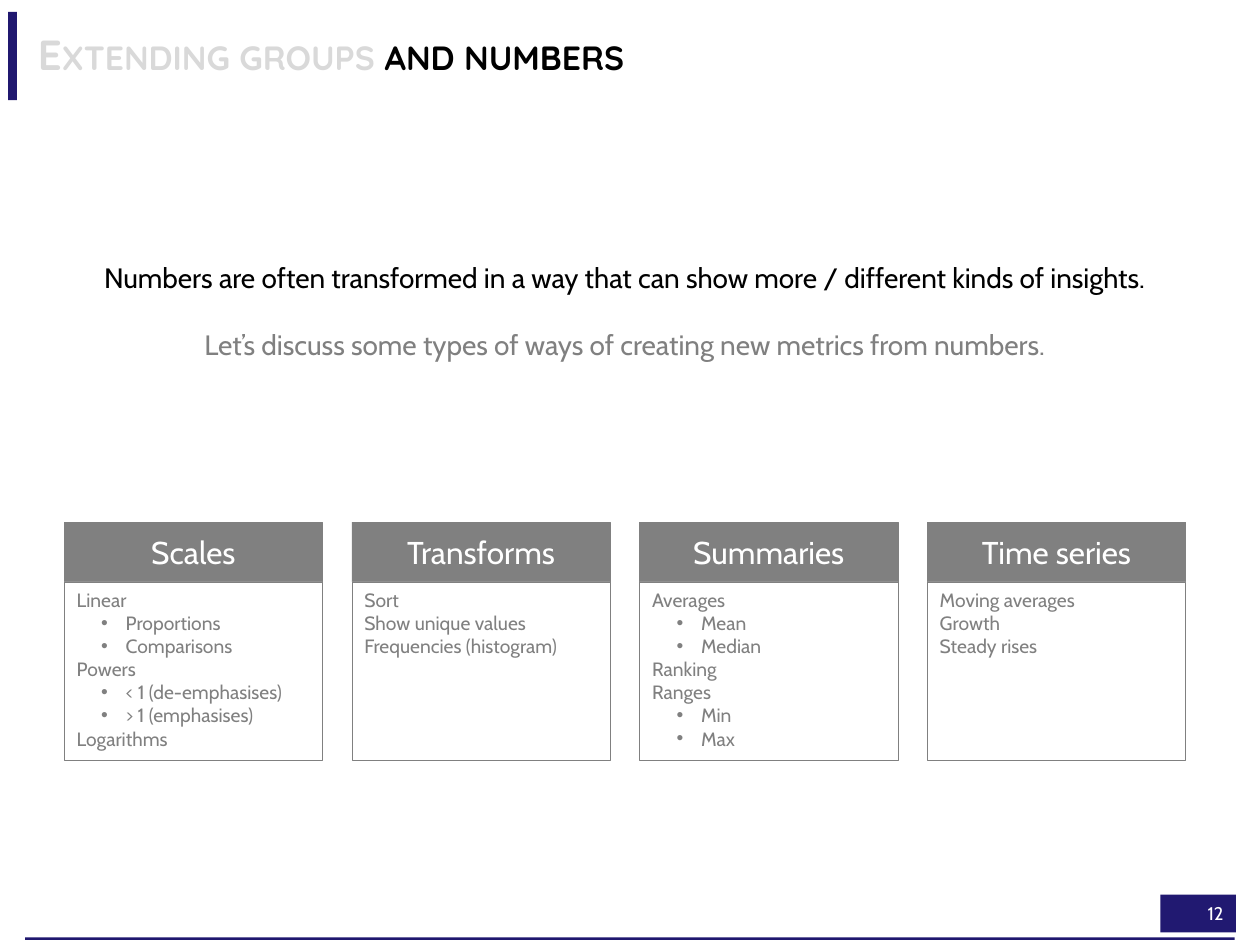
from lxml import etree
from pptx import Presentation
from pptx import util as u
from pptx.dml.color import RGBColor
from pptx.enum import shapes, text
from pptx.oxml import ns

Pt = u.Pt
NAVY, DEEP, GREY, PALE = "20186F", "211971", "808080", "D9D9D9"
WHITE, BLACK = "FFFFFF", "000000"
LEFT, MID, RIGHT = text.PP_ALIGN.LEFT, text.PP_ALIGN.CENTER, text.PP_ALIGN.RIGHT

# A leading tab marks a bulleted line.
CARDS = [
    ("Scales", ["Linear", "\tProportions", "\tComparisons", "Powers",
                "\t< 1 (de-emphasises)", "\t> 1 (emphasises)", "Logarithms"]),
    ("Transforms", ["Sort", "Show unique values", "Frequencies (histogram)"]),
    ("Summaries", ["Averages", "\tMean", "\tMedian", "Ranking", "Ranges",
                   "\tMin", "\tMax"]),
    ("Time series", ["Moving averages", "Growth", "Steady rises"]),
]
EDGE, WIDE, STEP = 36.7, 147.6, 164.4
TOP, HEAD, BODY = 298.3, 34.2, 102.2


def tint(fmt, hue):
    """Give a fill a solid colour."""
    fmt.solid()
    fmt.fore_color.rgb = RGBColor.from_string(hue)


def add_run(para, words, size, hue, face="Cabin"):
    run = para.add_run()
    run.text = words
    run.font.size = Pt(size)
    run.font.name = face
    tint(run.font.fill, hue)
    return run


def add_box(slide, x, y, w, h, hue, line=None):
    box = slide.shapes.add_shape(shapes.MSO_SHAPE.RECTANGLE,
                                 Pt(x), Pt(y), Pt(w), Pt(h))
    box.shadow.inherit = False
    tint(box.fill, hue)
    if line:
        tint(box.line.fill, line)
        box.line.width = Pt(0.25)
    else:
        box.line.fill.background()
    return box


def add_label(box, words, size, align):
    frame = box.text_frame
    frame.vertical_anchor = text.MSO_ANCHOR.MIDDLE
    para = frame.paragraphs[0]
    para.alignment = align
    add_run(para, words, size, WHITE)


def add_bullet(para):
    props = para._p.get_or_add_pPr()
    props.set("marL", str(Pt(28)))
    props.set("indent", str(-Pt(14)))
    etree.SubElement(props, ns.qn("a:buFont")).set("typeface", "Arial")
    etree.SubElement(props, ns.qn("a:buChar")).set("char", "•")


def add_list(box, lines):
    frame = box.text_frame
    frame.vertical_anchor = text.MSO_ANCHOR.TOP
    for i, line in enumerate(lines):
        para = frame.add_paragraph() if i else frame.paragraphs[0]
        para.alignment = LEFT
        if line.startswith("\t"):
            add_bullet(para)
        add_run(para, line.strip(), 11, GREY)


def add_card(slide, x, name, lines):
    head = add_box(slide, x, TOP, WIDE, HEAD, GREY, GREY)
    add_label(head, name, 18, MID)
    add_list(add_box(slide, x, TOP + HEAD, WIDE, BODY, WHITE, GREY), lines)


def add_frame(slide):
    """Draw the page number, foot rule and title bar."""
    page = add_box(slide, 663.1, 511.2, 43.2, 21.6, DEEP)
    add_label(page, "12", 10.5, RIGHT)
    add_box(slide, 14.4, 535.7, 691.2, 1.4, NAVY)
    add_box(slide, 4.7, 6.8, 5, 50.4, NAVY)


def set_title(slide):
    title = slide.shapes.title
    title.left, title.top = Pt(14.4), Pt(7.2)
    title.width, title.height = Pt(691.2), Pt(50.4)
    tint(title.fill, WHITE)
    shade = title.fill._xPr.find(".//" + ns.qn("a:srgbClr"))
    etree.SubElement(shade, ns.qn("a:alpha")).set("val", "50000")
    frame = title.text_frame
    frame.auto_size = text.MSO_AUTO_SIZE.NONE
    frame.vertical_anchor = text.MSO_ANCHOR.MIDDLE
    para = frame.paragraphs[0]
    para.alignment = LEFT
    para.line_spacing = 0.9
    for words, hue in (("Extending groups ", PALE), ("and numbers", BLACK)):
        run = add_run(para, words, 24, hue, "Quicksand")
        run.font.bold = True
        run._r.get_or_add_rPr().set("cap", "small")


def add_intro(slide):
    box = slide.shapes.add_textbox(Pt(EDGE), Pt(145.4), Pt(640.8), Pt(85))
    frame = box.text_frame
    frame.word_wrap = True
    first = frame.paragraphs[0]
    add_run(first, "Numbers are often transformed in a way that can show "
            "more / different kinds of insights.", 16, BLACK)
    last = frame.add_paragraph()
    last.space_before = Pt(19.2)
    add_run(last, "Let’s discuss some types of ways of creating new metrics "
            "from numbers.", 16, GREY)
    first.alignment = last.alignment = MID


def main():
    deck = Presentation()
    deck.slide_width, deck.slide_height = Pt(720), Pt(540)
    slide = deck.slides.add_slide(deck.slide_layouts[5])
    add_frame(slide)
    set_title(slide)
    for i, (name, lines) in enumerate(CARDS):
        add_card(slide, EDGE + i * STEP, name, lines)
    add_intro(slide)
    deck.save("out.pptx")


if __name__ == "__main__":
    main()
